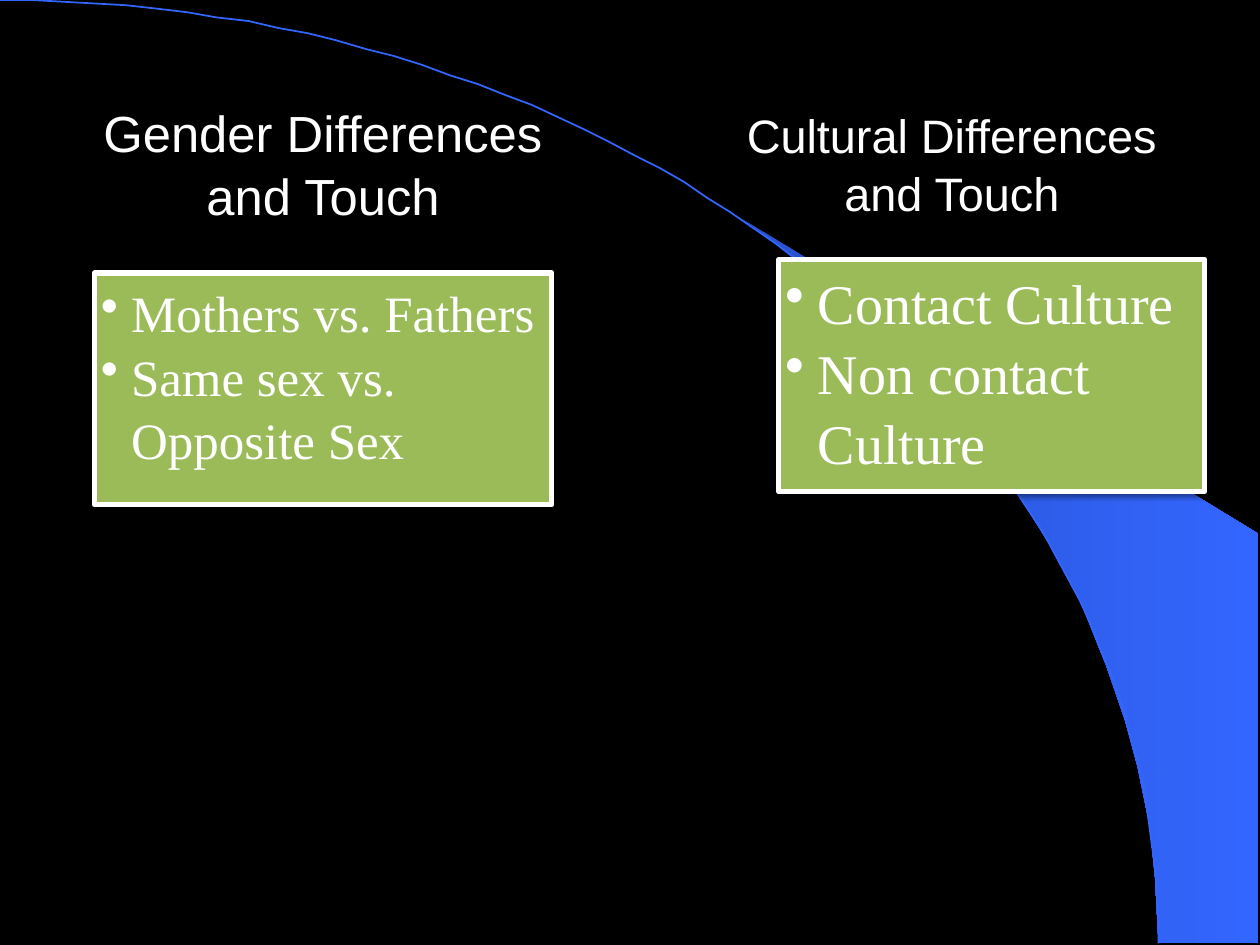
from lxml import etree
from pptx import Presentation
from pptx.dml.color import RGBColor
from pptx.enum.shapes import MSO_SHAPE
from pptx.enum.text import MSO_ANCHOR, MSO_AUTO_SIZE, PP_ALIGN
from pptx.oxml.ns import qn
from pptx.util import Pt

RECT = MSO_SHAPE.RECTANGLE
TOP, MIDDLE = MSO_ANCHOR.TOP, MSO_ANCHOR.MIDDLE
LEFT, CENTER = PP_ALIGN.LEFT, PP_ALIGN.CENTER
NO_FIT = MSO_AUTO_SIZE.NONE

HEX = {"back": "000000", "text": "FFFFFF", "card": "9BBB59",
       "blue": "3366FF", "deep": "2851CC"}
WEDGE = [(662.4, 538.6), (719.3, 539.3), (719.3, 304.6), (424.1, 124.6),
         (449.3, 143.3), (470.2, 159.8), (493.2, 180), (515.5, 201.6),
         (548.6, 237.6), (578.2, 276.5), (599, 310.3), (617.8, 344.9),
         (632.2, 380.2), (643, 411.8), (650.2, 438.5), (657.4, 472.3),
         (660.2, 501.1), (662.4, 538.6)]
WIDE, HIGH, STEPS = 662.4, 539.3, 60


def color(name):
    return RGBColor.from_string(HEX[name])


def curve(t):
    u = 1 - t
    x = WIDE * (3 * u * u * t * 0.55 + 3 * u * t * t + t ** 3)
    y = HIGH * (3 * u * t * t * 0.45 + t ** 3)
    return x, y


def add(parent, tag, **attrs):
    return etree.SubElement(parent, qn(tag), attrs)


class Deck:
    def __init__(self):
        self.prs = Presentation()
        self.prs.slide_width, self.prs.slide_height = Pt(720), Pt(540)
        self.slide = self.prs.slides.add_slide(self.prs.slide_layouts[5])
        self.shapes = self.slide.shapes
        fill = self.slide.background.fill
        fill.solid()
        fill.fore_color.rgb = color("back")

    def outline(self, points, close):
        start, *rest = points
        pen = self.shapes.build_freeform(*start, scale=Pt(1))
        pen.add_line_segments(rest, close=close)
        shape = pen.convert_to_shape()
        shape.shadow.inherit = False
        return shape

    def wedge(self, points):
        shape = self.outline(points, True)
        shape.line.fill.background()
        shape.fill.gradient()
        shape.fill.gradient_angle = 0
        for stop, name, spot in zip(shape.fill.gradient_stops,
                                    ("deep", "blue"), (0, 1)):
            stop.color.rgb = color(name)
            stop.position = spot

    def arc(self):
        shape = self.outline([curve(i / STEPS) for i in range(STEPS + 1)], False)
        shape.fill.background()
        shape.line.color.rgb = color("blue")
        shape.line.width = Pt(1)

    def set_text(self, shape, lines, size, face, align, anchor, indent=0):
        frame = shape.text_frame
        style = {"word_wrap": True, "auto_size": NO_FIT, "vertical_anchor": anchor}
        for side in ("left", "right", "top", "bottom"):
            style[f"margin_{side}"] = Pt(3.6)
        for key, value in style.items():
            setattr(frame, key, value)
        for i, line in enumerate(lines):
            para = frame.add_paragraph() if i else frame.paragraphs[0]
            para.text = line
            if indent:
                props = para._p.get_or_add_pPr()
                props.set("marL", str(Pt(indent)))
                props.set("indent", str(-Pt(indent)))
                add(props, "a:buChar", char="•")
            look = {"alignment": align, "line_spacing": 1.04,
                    "space_before": Pt(0), "space_after": Pt(0)}
            for key, value in look.items():
                setattr(para, key, value)
            for key, value in {"size": Pt(size), "name": face}.items():
                setattr(para.font, key, value)
            para.font.color.rgb = color("text")

    def title(self, text, box, size):
        shape = self.shapes.title
        self.shapes._spTree.append(shape._element)
        place = dict(zip(("left", "top", "width", "height"), map(Pt, box)))
        for key, value in place.items():
            setattr(shape, key, value)
        self.set_text(shape, [text], size, "Arial", CENTER, MIDDLE)

    def label(self, text, box, size):
        shape = self.shapes.add_textbox(*map(Pt, box))
        self.set_text(shape, [text], size, "Arial", CENTER, MIDDLE)

    def card(self, lines, box, size, indent):
        shape = self.shapes.add_shape(RECT, *map(Pt, box))
        shape.fill.solid()
        shape.fill.fore_color.rgb = color("card")
        shape.line.color.rgb = color("text")
        shape.line.width = Pt(3)
        shape.shadow.inherit = False
        effect = shape._element.spPr.find(qn("a:effectLst"))
        shade = add(effect, "a:outerShdw", blurRad=str(Pt(3)), dist=str(Pt(1.6)),
                    dir="5400000", rotWithShape="0")
        tint = add(shade, "a:srgbClr", val=HEX["back"])
        add(tint, "a:alpha", val="38000")
        self.set_text(shape, lines, size, "Times New Roman", LEFT, TOP, indent)

    def save(self):
        self.prs.save("out.pptx")


def main():
    deck = Deck()
    deck.wedge(WEDGE)
    deck.arc()
    deck.title("Gender Differences and Touch", (54, 48, 261.4, 90), 29)
    deck.card(["Mothers vs. Fathers", "Same sex vs. Opposite Sex"],
              (54, 156, 261.4, 132.5), 29.1, 17.3)
    deck.label("Cultural Differences and Touch", (422, 48, 244, 90), 26.8)
    deck.card(["Contact Culture", "Non contact Culture"],
              (445, 148.3, 243.4, 132.5), 32, 18.7)
    deck.save()


if __name__ == "__main__":
    main()
